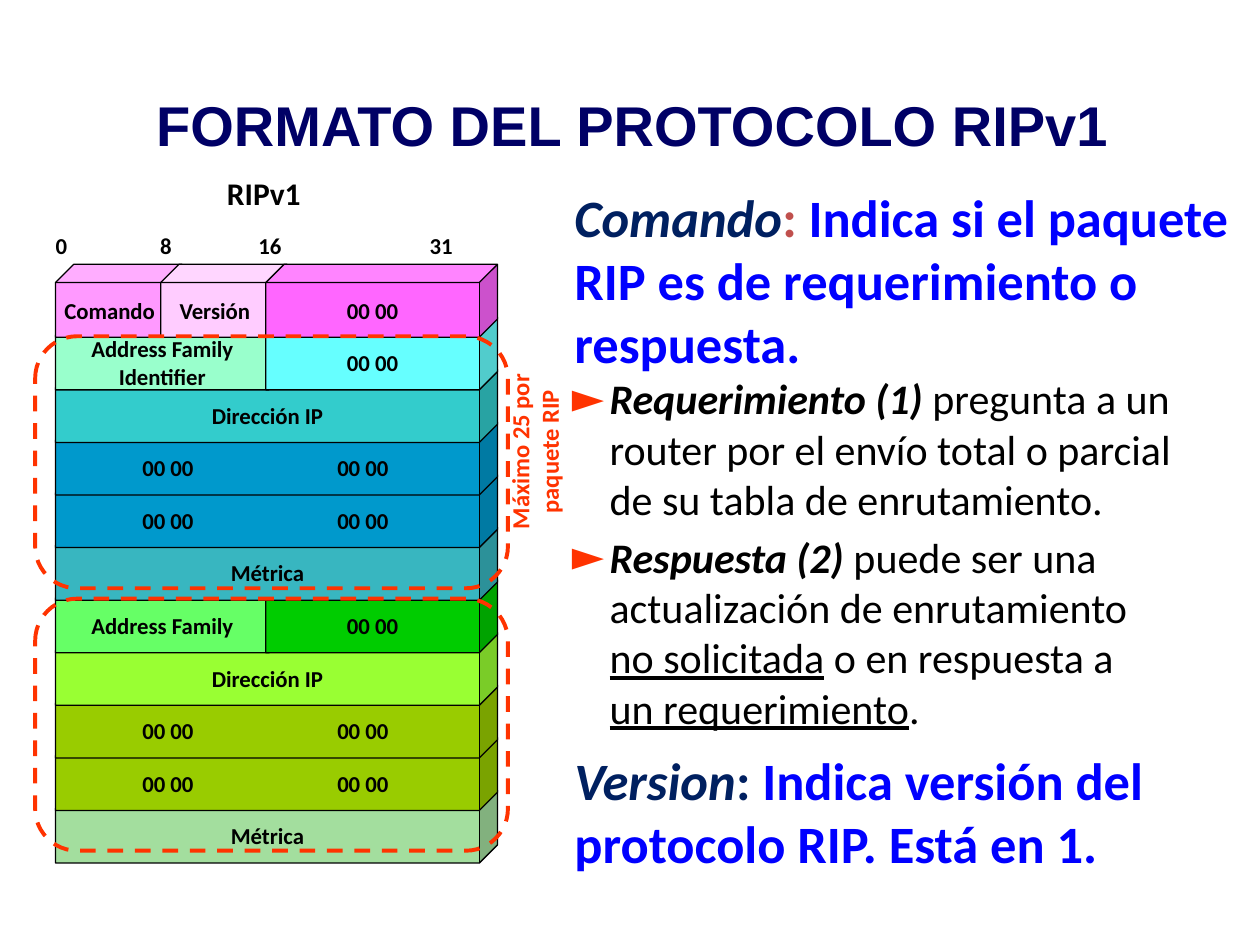
"""Build the slide on the RIPv1 message format."""
from dataclasses import dataclass

from lxml import etree
from pptx import Presentation
from pptx.dml.color import RGBColor
from pptx.enum.dml import MSO_LINE
from pptx.enum.shapes import MSO_SHAPE
from pptx.enum.text import MSO_ANCHOR, PP_ALIGN
from pptx.oxml.ns import qn
from pptx.util import Cm, Pt

CUBE = MSO_SHAPE.CUBE
FRAME = MSO_SHAPE.FLOWCHART_ALTERNATE_PROCESS
DASH = MSO_LINE.DASH
MIDDLE = MSO_ANCHOR.MIDDLE
LEFT, CENTER = PP_ALIGN.LEFT, PP_ALIGN.CENTER


@dataclass(frozen=True)
class Theme:
    title_font: str = "Arial"
    font: str = "Calibri"
    title: str = "000066"
    term: str = "002060"
    colon: str = "C0504D"
    lead: str = "0000FF"
    ink: str = "000000"
    accent: str = "FF3300"
    title_size: int = 32
    lead_size: int = 30
    body_size: int = 24
    head_size: int = 18
    note_size: int = 14
    cell_size: int = 13


THEME = Theme()

CUBE_LEFT, CUBE_TOP = 1.12, 5.33
ROW_PITCH, CUBE_HEIGHT = 1.06, 1.47
QUARTER, DEPTH = 2.12, 0.43
PAIR_INSET, PAIR_TAB = 1.75, 3.93
RULER_TABS = (2.11, 4.09, 7.54)
HANGING = 0.76
PAIR = "00 00\t00 00"

# Each cell is label, fill and width in quarters of a row.
ROWS = (
    (("Comando", "FF99FF", 1), ("Versión", "FFCCFF", 1), ("00 00", "FF66FF", 2)),
    (("Address Family Identifier", "99FFCC", 2), ("00 00", "66FFFF", 2)),
    (("Dirección IP", "33CCCC", 4),),
    ((PAIR, "0099CC", 4),),
    ((PAIR, "0099CC", 4),),
    (("Métrica", "38B6C0", 4),),
    (("Address Family", "66FF66", 2), ("00 00", "00CC00", 2)),
    (("Dirección IP", "99FF33", 4),),
    ((PAIR, "99CC00", 4),),
    ((PAIR, "99CC00", 4),),
    (("Métrica", "A3DE9E", 4),),
)


def add_run(p, text, size, color, bold=True, italic=False, underline=False, name=THEME.font):
    """Append one formatted run to a paragraph."""
    r = p.add_run()
    r.text = text
    font = r.font
    font.name, font.size = name, Pt(size)
    font.bold, font.italic, font.underline = bold, italic, underline
    font.color.rgb = RGBColor.from_string(color)


def set_tabs(p, positions):
    """Give a paragraph left tab stops at positions in centimetres."""
    tabs = etree.SubElement(p._p.get_or_add_pPr(), qn("a:tabLst"))
    for position in positions:
        etree.SubElement(tabs, qn("a:tab"), pos=str(Cm(position)), algn="l")


def set_bullet(p):
    """Give a paragraph a coloured arrow bullet and a hanging indent."""
    pPr = p._p.get_or_add_pPr()
    pPr.set("marL", str(Cm(HANGING)))
    pPr.set("indent", str(-Cm(HANGING)))
    color = etree.SubElement(pPr, qn("a:buClr"))
    etree.SubElement(color, qn("a:srgbClr"), val=THEME.accent)
    etree.SubElement(pPr, qn("a:buFont"), typeface=THEME.font)
    etree.SubElement(pPr, qn("a:buChar"), char="►")


def add_text(s, left, top, width, height, align=LEFT):
    """Add a wrapping text box and return it with its paragraph."""
    sp = s.shapes.add_textbox(Cm(left), Cm(top), Cm(width), Cm(height))
    tf = sp.text_frame
    tf.word_wrap = True
    p = tf.paragraphs[0]
    p.alignment = align
    return sp, p


def add_cube(s, row, column, label, fill, span):
    """Add one field of the packet as a labelled cube."""
    sp = s.shapes.add_shape(
        CUBE, Cm(CUBE_LEFT + column * QUARTER), Cm(CUBE_TOP + row * ROW_PITCH),
        Cm(span * QUARTER + DEPTH), Cm(CUBE_HEIGHT))
    sp.shadow.inherit = False
    sp.fill.solid()
    sp.fill.fore_color.rgb = RGBColor.from_string(fill)
    sp.line.color.rgb = RGBColor.from_string(THEME.ink)
    sp.line.width = Pt(0.75)
    tf = sp.text_frame
    tf.word_wrap = True
    tf.vertical_anchor = MIDDLE
    tf.margin_left = tf.margin_right = Cm(0.1)
    p = tf.paragraphs[0]
    p.alignment = CENTER
    if label == PAIR:
        tf.margin_left = Cm(PAIR_INSET)
        p.alignment = LEFT
        set_tabs(p, [PAIR_TAB])
    add_run(p, label, THEME.cell_size, THEME.ink)


def add_packet(s):
    """Stack the rows from the bottom up, with ruler and heading."""
    for row in reversed(range(len(ROWS))):
        column = 0
        for label, fill, span in ROWS[row]:
            add_cube(s, row, column, label, fill, span)
            column += span
    sp, p = add_text(s, 0.84, 4.55, 9.4, 0.84)
    sp.text_frame.margin_left = Cm(0.28)
    set_tabs(p, RULER_TABS)
    add_run(p, "0\t8\t16\t31", THEME.cell_size, THEME.ink)
    p = add_text(s, 4.17, 3.38, 2.3, 1.04, CENTER)[1]
    add_run(p, "RIPv1", THEME.head_size, THEME.ink)


def add_frame(s, top):
    """Add a dashed outline around one route entry."""
    sp = s.shapes.add_shape(FRAME, Cm(0.71), Cm(top), Cm(9.53), Cm(5.08))
    sp.shadow.inherit = False
    sp.fill.background()
    sp.line.color.rgb = RGBColor.from_string(THEME.accent)
    sp.line.width = Pt(2.25)
    sp.line.dash_style = DASH


def add_lead(s, top, width, height, term, colon_color, text):
    """Add the description of a header field."""
    p = add_text(s, 11.33, top, width, height)[1]
    add_run(p, term, THEME.lead_size, THEME.term, italic=True)
    add_run(p, ": ", THEME.lead_size, colon_color)
    add_run(p, text, THEME.lead_size, THEME.lead)


def add_item(s, top, width, height, term, parts):
    """Add a bulleted command from its term and (text, underline) parts."""
    p = add_text(s, 11.28, top, width, height)[1]
    set_bullet(p)
    add_run(p, term, THEME.body_size, THEME.ink, italic=True)
    for text, underline in parts:
        add_run(p, text, THEME.body_size, THEME.ink, bold=False, underline=underline)


def main():
    """Build and save the slide."""
    prs = Presentation()
    prs.slide_width, prs.slide_height = Cm(25.4), Cm(19.05)
    s = prs.slides.add_slide(prs.slide_layouts[6])

    p = add_text(s, 2.9, 1.7, 19.86, 1.63)[1]
    add_run(p, "FORMATO DEL PROTOCOLO RIPv1", THEME.title_size, THEME.title,
            name=THEME.title_font)
    add_lead(s, 3.61, 13.95, 4.11, "Comando", THEME.colon,
             "Indica si el paquete RIP es de requerimiento o respuesta.")
    add_item(s, 7.39, 12.9, 3.33, "Requerimiento (1) ", [
        ("pregunta a un router por el envío total o parcial "
         "de su tabla de enrutamiento.", False)])
    add_item(s, 10.58, 11.99, 4.42, "Respuesta (2)", [
        (" puede ser una actualización de enrutamiento ", False),
        ("no solicitada", True), (" o en respuesta a ", False),
        ("un requerimiento", True), (".", False)])
    add_lead(s, 14.96, 12.12, 2.82, "Version", THEME.term,
             "Indica versión del protocolo RIP. Está en 1.")

    add_packet(s)
    for top in (6.78, 12.07):
        add_frame(s, top)
    sp, p = add_text(s, 8.89, 8.38, 3.78, 1.45, CENTER)
    sp.rotation = 270
    add_run(p, "Máximo 25 por paquete RIP", THEME.note_size, THEME.accent)
    prs.save("out.pptx")


if __name__ == "__main__":
    main()
